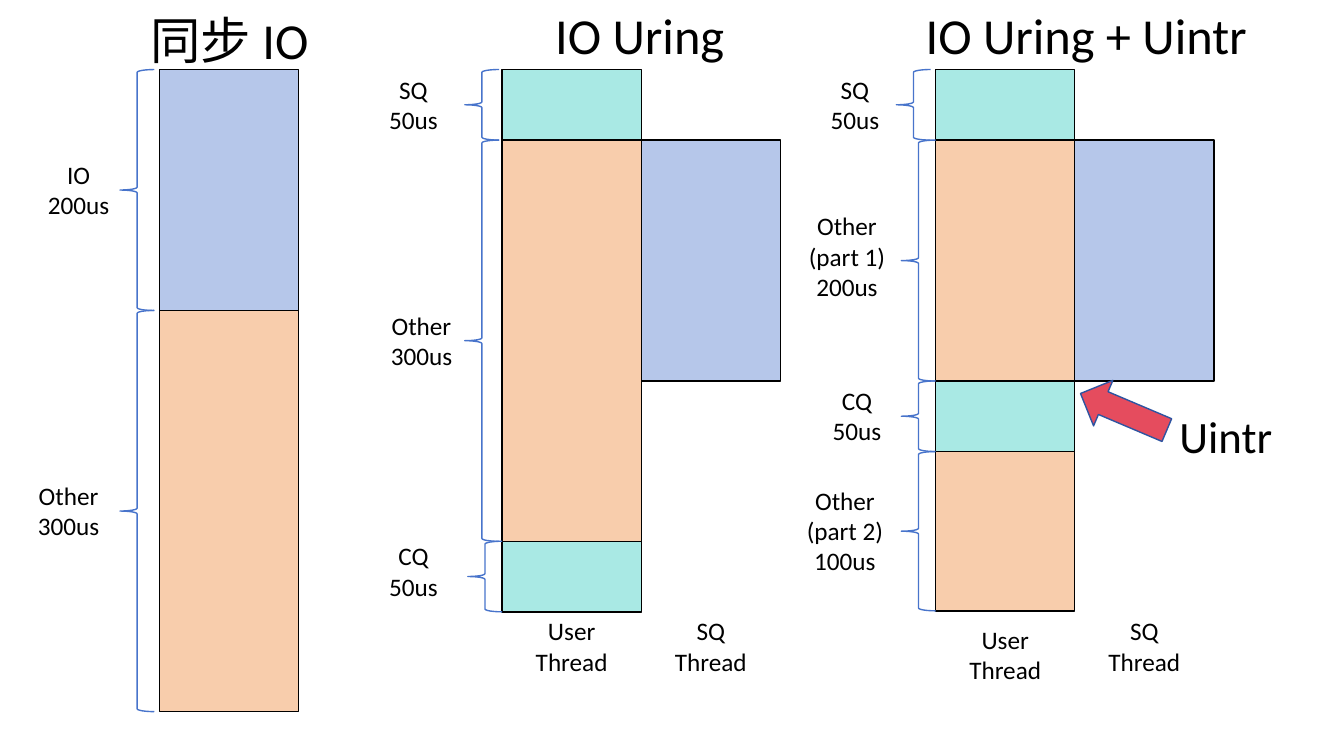
from collections import namedtuple

from pptx import Presentation
from pptx.dml.color import RGBColor
from pptx.enum.shapes import MSO_SHAPE
from pptx.enum.text import MSO_AUTO_SIZE, PP_ALIGN
from pptx.util import Inches, Pt

BOX = MSO_SHAPE.FLOWCHART_PROCESS
BRACE = MSO_SHAPE.LEFT_BRACE
ARROW = MSO_SHAPE.LEFT_ARROW
GROW = MSO_AUTO_SIZE.SHAPE_TO_FIT_TEXT
CENTER = PP_ALIGN.CENTER
LEFT = PP_ALIGN.LEFT

BLACK = RGBColor(0x00, 0x00, 0x00)
BLUE = RGBColor(0xB6, 0xC7, 0xEA)
PEACH = RGBColor(0xF8, 0xCD, 0xAC)
TEAL = RGBColor(0xA9, 0xE9, 0xE4)
RED = RGBColor(0xE5, 0x4C, 0x5E)
NAVY = RGBColor(0x2E, 0x54, 0xA1)
LINE = RGBColor(0x48, 0x74, 0xCB)

FONT = "Calibri"
TOP = 0.69
WIDE = 1.38
QUEUE = 0.7
IO = 2.39
OTHER = 3.98

Part = namedtuple("Part", "lines fill high label brace shift", defaults=[0])


def add_form(slide, kind, box, line, fill=None):
    """Add a preset shape in the box with a thin line."""
    shape = slide.shapes.add_shape(kind, *map(Inches, box))
    shape.shadow.inherit = False
    shape.line.color.rgb = line
    shape.line.width = Pt(1)
    if fill is None:
        shape.fill.background()
    else:
        shape.fill.solid()
        shape.fill.fore_color.rgb = fill
    return shape


def add_text(slide, box, lines, size=18, align=CENTER):
    """Add a text box with one paragraph per line."""
    frame = slide.shapes.add_textbox(*map(Inches, box)).text_frame
    frame.word_wrap = True
    frame.auto_size = GROW
    for i, line in enumerate(lines):
        para = frame.add_paragraph() if i else frame.paragraphs[0]
        para.alignment = align
        run = para.add_run()
        run.text = line
        run.font.size = Pt(size)
        run.font.name = FONT
        run.font.color.rgb = BLACK


def add_stack(slide, left, title, box, parts):
    """Draw a titled bar of stacked parts with braces and labels."""
    add_text(slide, box, [title], 36)
    top = TOP
    for part in parts:
        add_form(slide, BOX, (left, top, WIDE, part.high), BLACK, part.fill)
        add_form(slide, BRACE, (left - part.brace, top, 0.34, part.high), LINE)
        wide, high = (0.81, 0.71) if len(part.lines) == 2 else (0.99, 1.01)
        mid = top + part.high / 2 + part.shift
        spot = (left - part.label - wide / 2, mid - high / 2, wide, high)
        add_text(slide, spot, part.lines)
        top += part.high


def add_threads(slide, left, user):
    """Draw the SQ thread bar beside a stack and name both threads."""
    side = left + WIDE
    add_form(slide, BOX, (side, TOP + QUEUE, WIDE, IO), BLACK, BLUE)
    for name, x, y in (("User", left, user), ("SQ", side, 6.06)):
        add_text(slide, (x + 0.16, y, 1.06, 0.71), [name, "Thread"])


def add_signal(slide, left, top):
    """Draw the tilted Uintr arrow and its name."""
    arrow = add_form(slide, ARROW, (left, top, 0.93, 0.49), NAVY, RED)
    arrow.rotation = 23
    add_text(slide, (left + 0.92, top + 0.17, 1.17, 0.64), ["Uintr"], 32, LEFT)


def main():
    """Build and save the slide."""
    deck = Presentation()
    deck.slide_width = Inches(13.33)
    deck.slide_height = Inches(7.5)
    slide = deck.slides.add_slide(deck.slide_layouts[6])
    add_stack(slide, 1.58, "同步 IO", (1.32, 0.04, 1.91, 0.71), [
        Part(["IO", "200us"], BLUE, IO, 0.8, 0.39),
        Part(["Other", "300us"], PEACH, OTHER, 0.9, 0.39),
    ])
    add_stack(slide, 4.98, "IO Uring", (5.39, -0.01, 1.91, 0.71), [
        Part(["SQ", "50us"], TEAL, QUEUE, 0.88, 0.37),
        Part(["Other", "300us"], PEACH, OTHER, 0.8, 0.37),
        Part(["CQ", "50us"], TEAL, QUEUE, 0.88, 0.34, -0.05),
    ])
    add_threads(slide, 4.98, 6.06)
    add_stack(slide, 9.28, "IO Uring + Uintr", (8.91, -0.01, 3.73, 0.71), [
        Part(["SQ", "50us"], TEAL, QUEUE, 0.8, 0.39),
        Part(["Other", "(part 1)", "200us"], PEACH, IO, 0.88, 0.34, -0.04),
        Part(["CQ", "50us"], TEAL, QUEUE, 0.78, 0.34),
        Part(["Other", "(part 2)", "100us"], PEACH, 1.58, 0.9, 0.34),
    ])
    add_threads(slide, 9.28, 6.14)
    add_signal(slide, 10.68, 3.84)
    deck.save("out.pptx")


if __name__ == "__main__":
    main()
